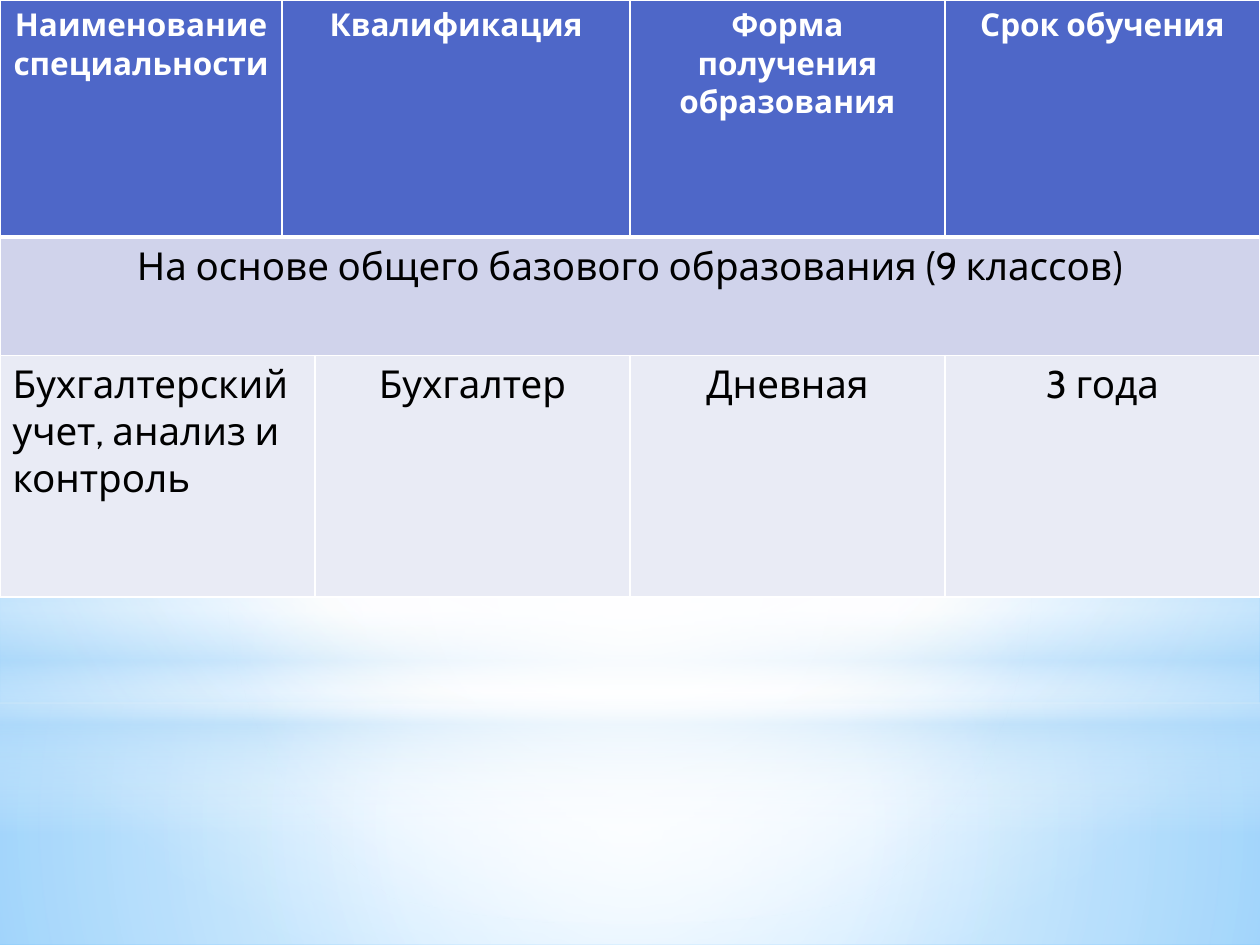
from lxml import etree
from pptx import Presentation
from pptx.dml.color import RGBColor
from pptx.enum.shapes import MSO_SHAPE as Shape
from pptx.enum.text import PP_ALIGN as Align
from pptx.oxml import parse_xml
from pptx.oxml.ns import nsdecls, qn
from pptx.util import Inches, Pt

COLORS = {
    "white": "FFFFFF", "black": "000000",
    "sky": "9ED5FF", "azure": "5BB9FF", "haze": "B4DCFA",
    "header": "4E67C8", "section": "D0D3EB", "body": "E9EBF5",
}
FONT = "Cabin"
COLUMN_WIDTHS = [2.24, 0.26, 2.5, 2.5, 2.5]
ROW_HEIGHTS = [1.88, 0.94, 1.92]
CENTER = (50, 50, 50, 50)


def radial(focus):
    edges = " ".join(f'{side}="{value * 1000}"' for side, value in zip("ltrb", focus))
    return f'<a:path path="circle"><a:fillToRect {edges}/></a:path>'


def set_gradient(properties, stops, direction):
    """Replace a solid fill by stops of (position, colour, opacity), all in percent."""
    stop_xml = "".join(
        f'<a:gs pos="{position * 1000}"><a:srgbClr val="{COLORS[color]}">'
        f'<a:alpha val="{opacity * 1000}"/></a:srgbClr></a:gs>'
        for position, color, opacity in stops
    )
    gradient = parse_xml(
        f'<a:gradFill {nsdecls("a")} rotWithShape="1">'
        f"<a:gsLst>{stop_xml}</a:gsLst>{direction}</a:gradFill>"
    )
    properties.replace(properties.find(qn("a:solidFill")), gradient)


def paint_background(slide):
    slide.background.fill.solid()
    properties = slide.element.find(".//" + qn("p:bgPr"))
    stops = [(0, "sky", 100), (60, "white", 100), (100, "azure", 100)]
    set_gradient(properties, stops, radial((20, 10, 20, 60)))


def add_glow(slide, outline, top, height, stops, direction):
    glow = slide.shapes.add_shape(outline, 0, Inches(top), Inches(10), Inches(height))
    glow.shadow.inherit = False
    glow.line.fill.background()
    glow.fill.solid()
    set_gradient(glow.element.spPr, stops, direction)


def set_borders(cell, widths):
    """Draw white borders; widths are points for left, right, top and bottom."""
    properties = cell._tc.get_or_add_tcPr()
    for index, (side, width) in enumerate(zip("LRTB", widths)):
        border = etree.Element(qn(f"a:ln{side}"), w=str(Pt(width)))
        fill = etree.SubElement(border, qn("a:solidFill"))
        etree.SubElement(fill, qn("a:srgbClr"), val=COLORS["white"])
        properties.insert(index, border)


def write_cell(cell, text, size, color, bold=False, align=Align.CENTER):
    cell.text_frame.text = text
    for paragraph in cell.text_frame.paragraphs:
        paragraph.alignment = align
        for run in paragraph.runs:
            run.font.name = FONT
            run.font.size = Pt(size)
            run.font.bold = bold
            run.font.color.rgb = RGBColor.from_string(COLORS[color])


def add_specialty_table(slide):
    table = slide.shapes.add_table(
        len(ROW_HEIGHTS), len(COLUMN_WIDTHS), 0, 0,
        Inches(sum(COLUMN_WIDTHS)), Inches(sum(ROW_HEIGHTS)),
    ).table
    table.first_row = table.horz_banding = False
    for column, width in zip(table.columns, COLUMN_WIDTHS):
        column.width = Inches(width)
    row_styles = [("header", 1, 3), ("section", 3, 1), ("body", 1, 1)]
    for row, height, (fill, top, bottom) in zip(table.rows, ROW_HEIGHTS, row_styles):
        row.height = Inches(height)
        for cell in row.cells:
            cell.fill.solid()
            cell.fill.fore_color.rgb = RGBColor.from_string(COLORS[fill])
            set_borders(cell, (1, 1, top, bottom))

    for row, first, last in [(0, 1, 2), (1, 0, 4), (2, 0, 1)]:
        table.cell(row, first).merge(table.cell(row, last))

    headings = {
        0: "Наименование\nспециальности",
        1: "Квалификация",
        3: "Форма получения образования",
        4: "Срок обучения",
    }
    for column, heading in headings.items():
        write_cell(table.cell(0, column), heading, 18, "white", bold=True)
    write_cell(table.cell(1, 0), "На основе общего базового образования (9 классов)", 22, "black")
    write_cell(table.cell(2, 0), "Бухгалтерский учет, анализ и контроль", 22, "black", align=Align.LEFT)
    for column, detail in enumerate(["Бухгалтер", "Дневная", "3 года"], start=2):
        write_cell(table.cell(2, column), detail, 22, "black")


def main():
    deck = Presentation()
    deck.slide_width, deck.slide_height = Inches(10), Inches(7.5)
    slide = deck.slides.add_slide(deck.slide_layouts[6])

    paint_background(slide)
    add_glow(slide, Shape.RECTANGLE, 5.58, 1.92,
             [(0, "white", 91), (37, "white", 76), (100, "haze", 79)], radial(CENTER))
    add_glow(slide, Shape.RECTANGLE, 0, 5.58,
             [(0, "white", 89), (48, "white", 62), (100, "haze", 79)], radial(CENTER))
    add_glow(slide, Shape.RECTANGLE, 4.12, 2.5,
             [(0, "white", 0), (29, "white", 30), (45, "haze", 40),
              (55, "white", 26), (65, "haze", 60), (100, "white", 0)],
             '<a:lin ang="5400000" scaled="0"/>')
    add_glow(slide, Shape.OVAL, 1.75, 5.58,
             [(0, "white", 100), (56, "white", 0)], radial(CENTER))
    add_specialty_table(slide)

    deck.save("out.pptx")


if __name__ == "__main__":
    main()
